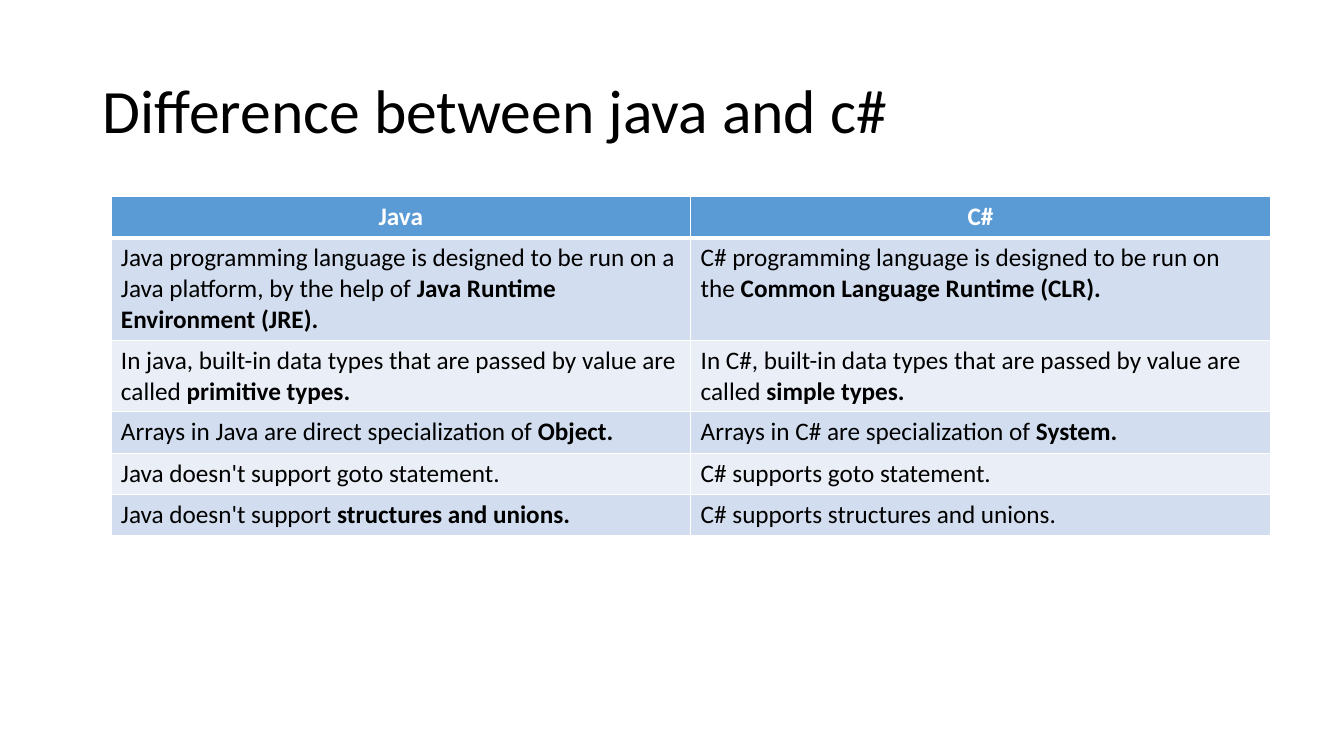
from lxml.etree import SubElement
from pptx import Presentation
from pptx.dml.color import RGBColor
from pptx.enum.text import MSO_ANCHOR, PP_ALIGN
from pptx.oxml.ns import qn
from pptx.util import Inches, Pt

COLORS = {
    "text": "000000",
    "white": "FFFFFF",
    "header": "5B9BD5",
    "odd": "D2DEEF",
    "even": "EAEFF7",
}
FONT = "Calibri"
NBSP = chr(160)
HEADERS = ["Java", "C#"]
ROWS = [
    [
        ("Java programming language is designed to be run on a Java platform, by the help of",
         "Java Runtime Environment (JRE)."),
        ("C# programming language is designed to be run on the",
         "Common Language Runtime (CLR)."),
    ],
    [
        ("In java, built-in data types that are passed by value are called", "primitive types."),
        ("In C#, built-in data types that are passed by value are called", "simple types."),
    ],
    [
        ("Arrays in Java are direct specialization of", "Object."),
        ("Arrays in C# are specialization of", "System."),
    ],
    [("Java doesn't support goto statement.", ""), ("C# supports goto statement.", "")],
    [
        ("Java doesn't support", "structures and unions."),
        ("C# supports structures and unions.", ""),
    ],
]


def add_text(p, text, size=18, color="text", bold=False, align=PP_ALIGN.LEFT):
    p.alignment = align
    r = p.add_run()
    r.text = text
    r.font.name = FONT
    r.font.size = Pt(size)
    r.font.bold = bold
    r.font.color.rgb = RGBColor.from_string(COLORS[color])


def style_cell(cell, fill, **widths):
    tc_pr = cell._tc.get_or_add_tcPr()
    for side in "LRTB":
        ln = SubElement(tc_pr, qn(f"a:ln{side}"), w=str(Pt(widths.get(side, 1))))
        line_fill = SubElement(ln, qn("a:solidFill"))
        SubElement(line_fill, qn("a:srgbClr"), val=COLORS["white"])
    cell.fill.solid()
    cell.fill.fore_color.rgb = RGBColor.from_string(COLORS[fill])


def add_title(s, text, left, top, width, height):
    sp = s.shapes.title
    sp.left, sp.top = Inches(left), Inches(top)
    sp.width, sp.height = Inches(width), Inches(height)
    tf = sp.text_frame
    tf.word_wrap = True
    tf.vertical_anchor = MSO_ANCHOR.MIDDLE
    p = tf.paragraphs[0]
    p.line_spacing = 0.9
    add_text(p, text, size=44)


def add_comparison(s, left, top, width, row_height):
    row_count = len(ROWS) + 1
    table = s.shapes.add_table(
        row_count, len(HEADERS), Inches(left), Inches(top),
        Inches(width), Inches(row_height * row_count),
    ).table
    for row in table.rows:
        row.height = Inches(row_height)
    for col, label in enumerate(HEADERS):
        table.columns[col].width = Inches(width / len(HEADERS))
        cell = table.cell(0, col)
        style_cell(cell, "header", B=3)
        add_text(cell.text_frame.paragraphs[0], label,
                 color="white", bold=True, align=PP_ALIGN.CENTER)
    for i, entries in enumerate(ROWS, start=1):
        for col, (plain, strong) in enumerate(entries):
            cell = table.cell(i, col)
            style_cell(cell, "odd" if i % 2 else "even", T=3 if i == 1 else 1)
            p = cell.text_frame.paragraphs[0]
            add_text(p, plain + NBSP if strong else plain)
            if strong:
                add_text(p, strong, bold=True)


def main():
    prs = Presentation()
    prs.slide_width, prs.slide_height = Inches(13.33), Inches(7.5)
    s = prs.slides.add_slide(prs.slide_layouts[5])
    add_title(s, "Difference between java and c#", 0.92, 0.4, 11.5, 1.45)
    add_comparison(s, 1.1, 1.95, 11.5, 0.41)
    prs.save("out.pptx")


if __name__ == "__main__":
    main()
